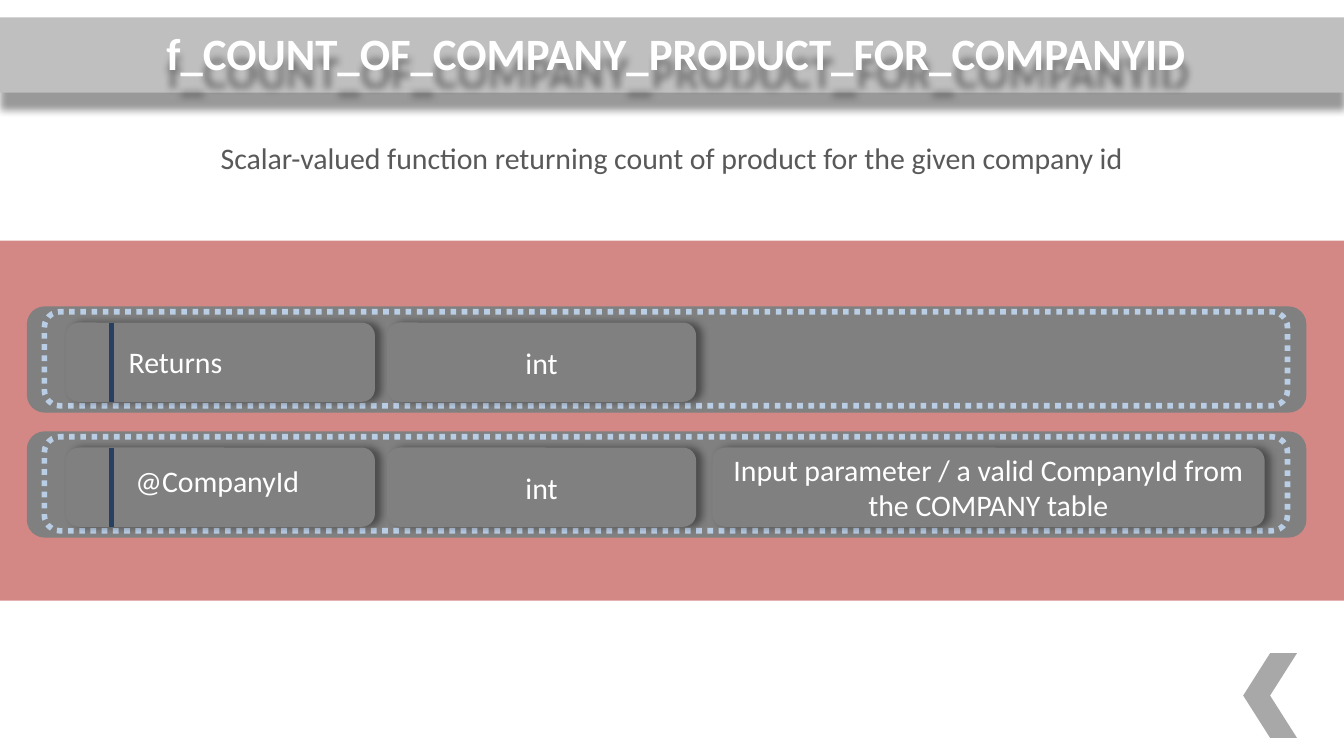
from lxml.etree import SubElement as Sub
from pptx import Presentation
from pptx.dml.color import RGBColor as RGB
from pptx.enum.dml import MSO_LINE as Dash
from pptx.enum.shapes import MSO_CONNECTOR as Link, MSO_SHAPE as Kind
from pptx.enum.text import MSO_ANCHOR as Anchor, PP_ALIGN as Align
from pptx.oxml.ns import qn
from pptx.util import Inches, Pt

COLORS = {
    "white": "FFFFFF", "black": "000000", "banner": "BFBFBF",
    "red": "C0504D", "gray": "808080", "text": "595959",
    "dots": "B9CDE5", "navy": "254061",
}
ROWS = [
    ("Returns", 0.11, 0, "int", None),
    ("@CompanyId", 0.06, 0.05, "int",
     "Input parameter / a valid CompanyId from the COMPANY table"),
]


def color(name):
    return RGB.from_string(COLORS[name])


def inches(*box):
    return [Inches(value) for value in box]


def fade(shape, share):
    tint = shape.fill._xPr.find(qn("a:solidFill"))[0]
    Sub(tint, qn("a:alpha"), val=str(share * 1000))


def shade(shape, gap, angle):
    shape.shadow.inherit = False
    effects = shape._element.spPr.find(qn("a:effectLst"))
    outer = Sub(effects, qn("a:outerShdw"), blurRad=str(Pt(4)), dist=str(Pt(gap)),
                dir=str(angle * 60000), algn="ctr", rotWithShape="0")
    tint = Sub(outer, qn("a:srgbClr"), val=COLORS["black"])
    Sub(tint, qn("a:alpha"), val="40000")


def add_shape(slide, kind, box, fill):
    shape = slide.shapes.add_shape(kind, *inches(*box))
    shape.fill.solid()
    shape.fill.fore_color.rgb = color(fill)
    shape.line.fill.background()
    shape.shadow.inherit = False
    return shape


def write(shape, text, size=16, tint="white", align=Align.CENTER, bold=False):
    frame = shape.text_frame
    frame.text = text
    frame.word_wrap = True
    para = frame.paragraphs[0]
    para.alignment = align
    font = para.runs[0].font
    font.name = "Calibri"
    font.size = Pt(size)
    font.bold = bold
    font.color.rgb = color(tint)


def add_text(slide, box, text, **style):
    label = slide.shapes.add_textbox(*inches(*box))
    write(label, text, **style)


def add_head(slide, x, y, w, h):
    banner = add_shape(slide, Kind.RECTANGLE, (x, y, w, h), "banner")
    shade(banner, 9, 90)
    title = slide.shapes.title
    title.left, title.top, title.width, title.height = inches(
        x + 0.06, y + 0.02, w - 0.06, h - 0.08)
    frame = title.text_frame
    frame.margin_left = frame.margin_right = Inches(0.07)
    frame.margin_top = frame.margin_bottom = Inches(0.04)
    frame.vertical_anchor = Anchor.MIDDLE
    write(title, "f_COUNT_OF_COMPANY_PRODUCT_FOR_COMPANYID", 24, bold=True)
    shade(title, 9, 90)
    title._element.addprevious(banner._element)


def add_cell(slide, box, text=None):
    cell = add_shape(slide, Kind.ROUNDED_RECTANGLE, box, "gray")
    shade(cell, 3, 0)
    if text:
        cell.text_frame.vertical_anchor = Anchor.MIDDLE
        write(cell, text)


def add_row(slide, x, y, w, h, row):
    name, drop, shift, kind, note = row
    add_shape(slide, Kind.ROUNDED_RECTANGLE, (x, y, w, h), "gray")
    frame = add_shape(slide, Kind.ROUNDED_RECTANGLE,
                      (x + 0.13, y + 0.04, w - 0.27, h - 0.09), "gray")
    frame.line.color.rgb = color("dots")
    frame.line.width = Pt(3)
    frame.line.dash_style = Dash.ROUND_DOT

    top, tall = y + 0.12, 0.59
    add_cell(slide, (x + 0.29, top, 2.3, tall))
    add_cell(slide, (x + 2.68, top, 2.3, tall), kind)
    if note:
        add_cell(slide, (x + 5.1, top, 4.11, tall), note)

    bar = slide.shapes.add_connector(
        Link.STRAIGHT, *inches(x + 0.63, top, x + 0.63, top + tall))
    bar.line.color.rgb = color("navy")
    bar.line.width = Pt(2.5)
    Sub(bar._element.spPr, qn("a:effectLst"))
    add_text(slide, (x + 0.66 + shift, top + drop, 2.33, 0.37), name,
             align=Align.LEFT)


def add_panel(slide, x, y, w, h):
    panel = add_shape(slide, Kind.RECTANGLE, (x, y, w, h), "red")
    fade(panel, 68)
    for i, row in enumerate(ROWS):
        add_row(slide, x + 0.2, y + 0.49 + i * 0.93, w - 0.48, 0.79, row)


def add_arrow(slide, *box):
    arrow = add_shape(slide, Kind.CHEVRON, box, "gray")
    arrow.rotation = 180
    fade(arrow, 68)


def main():
    deck = Presentation()
    deck.slide_width = Inches(10)
    deck.slide_height = Inches(10 * 9 / 16)
    slide = deck.slides.add_slide(deck.slide_layouts[5])
    add_head(slide, 0, 0.13, 10, 0.56)
    add_panel(slide, 0, 1.79, 10, 2.68)
    add_text(slide, (0, 0.99, 10, 0.64),
             "Scalar-valued function returning count of product for the given company id",
             tint="text")
    add_arrow(slide, 9.25, 4.86, 0.4, 0.63)
    deck.save("out.pptx")


if __name__ == "__main__":
    main()
